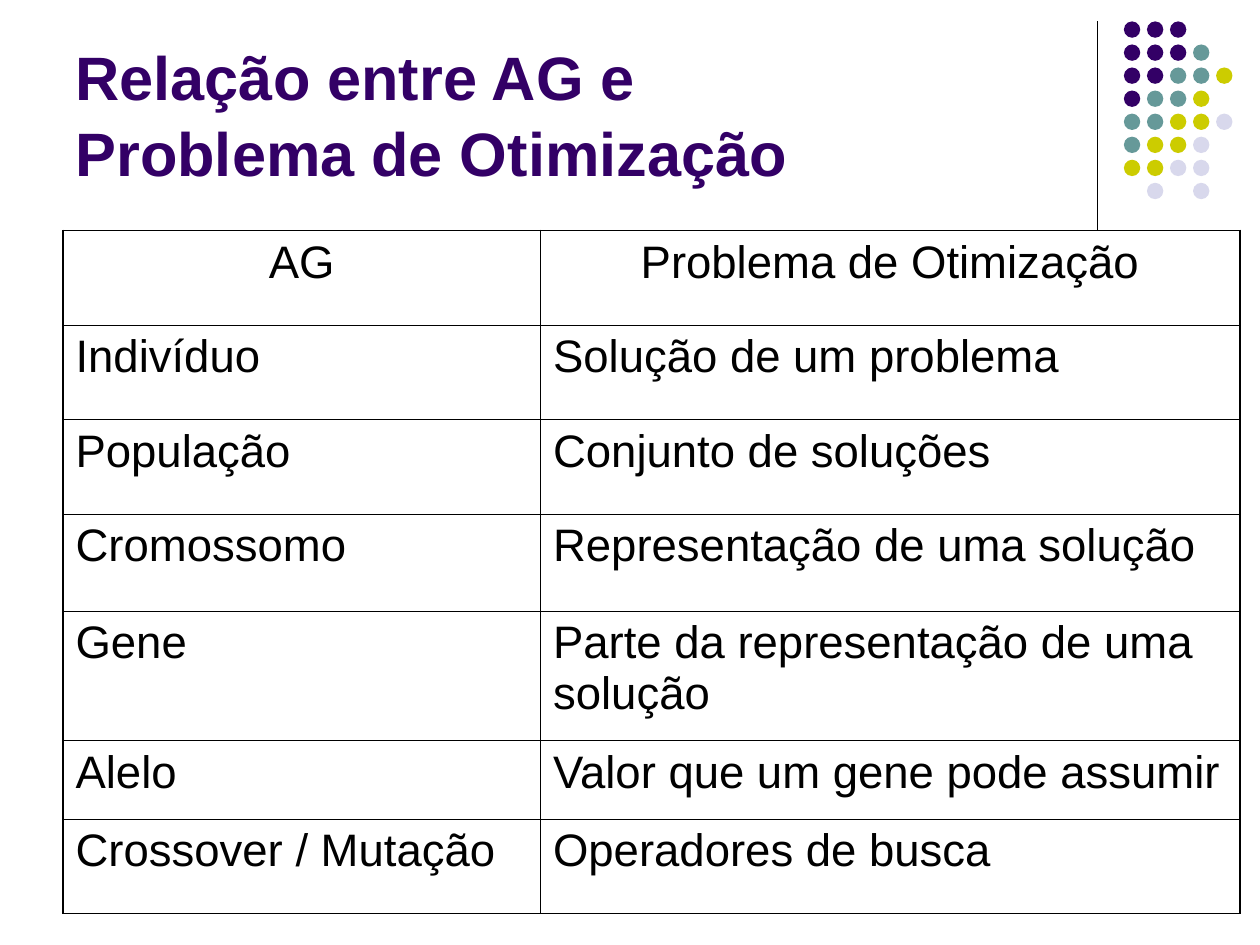
import pptx
import pptx.util
import pptx.dml.color
import pptx.enum.shapes
import pptx.enum.text
import pptx.oxml
import pptx.oxml.ns
from pptx.util import Inches, Pt

# Content
TITLE_LINES = ["Relação entre AG e", "Problema de Otimização"]
ROWS = [
    ("AG", "Problema de Otimização"),
    ("Indivíduo", "Solução de um problema"),
    ("População", "Conjunto de soluções"),
    ("Cromossomo", "Representação de uma solução"),
    ("Gene", "Parte da representação de uma solução"),
    ("Alelo", "Valor que um gene pode assumir"),
    ("Crossover / Mutação", "Operadores de busca"),
]
COLUMN_WIDTHS = [3.79, 5.55]
ROW_HEIGHTS = [0.75, 0.75, 0.75, 0.77, 1.03, 0.62, 0.75]

# Dot ornament: one letter per dot, a space leaves the grid position empty
DOT_ROWS = ["PPP", "PPPT", "PPTTY", "PTTY", "TTYYL", "TYYL", "YYLL", " L L"]
DOT_COLORS = {"P": "330066", "T": "669999", "Y": "CCCC00", "L": "D8D8EC"}
DOT_LEFT, DOT_TOP, DOT_PITCH, DOT_SIZE = 8.92, 0.17, 0.183, 0.13

FONT, BLACK, PURPLE = "Arial", "000000", "330066"
TABLE_LEFT, TABLE_TOP = 0.5, 1.83
OUTER_BORDER, INNER_BORDER = 1.08, 0.45


def color(value):
    return pptx.dml.color.RGBColor.from_string(value)


def add_text(paragraph, text, size, hex_color, bold=False):
    run = paragraph.add_run()
    run.text = text
    run.font.name = FONT
    run.font.size = Pt(size)
    run.font.bold = bold
    run.font.color.rgb = color(hex_color)


def set_borders(cell, widths):
    properties = cell._tc.get_or_add_tcPr()
    for index, (side, width) in enumerate(widths.items()):
        border = pptx.oxml.parse_xml(
            f'<a:ln{side} {pptx.oxml.ns.nsdecls("a")} w="{Pt(width)}">'
            f'<a:solidFill><a:srgbClr val="{BLACK}"/></a:solidFill></a:ln{side}>')
        properties.insert(index, border)


def add_title(slide):
    title = slide.shapes.title
    title.left, title.top = Inches(0.5), Inches(0.13)
    title.width, title.height = Inches(8.25), Inches(1.42)
    frame = title.text_frame
    frame.word_wrap = True
    frame.auto_size = pptx.enum.text.MSO_AUTO_SIZE.NONE
    frame.vertical_anchor = pptx.enum.text.MSO_ANCHOR.BOTTOM
    paragraph = frame.paragraphs[0]
    paragraph.alignment = pptx.enum.text.PP_ALIGN.LEFT
    paragraph.line_spacing = 1.04
    for index, line in enumerate(TITLE_LINES):
        if index:
            paragraph.add_line_break()
        add_text(paragraph, line, 35, PURPLE, bold=True)


def add_ornament(slide):
    # Vertical rule beside the dots
    rule = slide.shapes.add_connector(
        pptx.enum.shapes.MSO_CONNECTOR.STRAIGHT,
        Inches(8.71), Inches(DOT_TOP), Inches(8.71), Inches(TABLE_TOP))
    rule.line.color.rgb = color(BLACK)
    rule.line.width = Pt(0.75)
    rule._element.spPr.append(pptx.oxml.parse_xml(
        f'<a:effectLst {pptx.oxml.ns.nsdecls("a")}/>'))

    # Dot grid
    dots = slide.shapes.add_group_shape()
    for row, letters in enumerate(DOT_ROWS):
        for column, letter in enumerate(letters):
            if letter == " ":
                continue
            dot = dots.shapes.add_shape(
                pptx.enum.shapes.MSO_SHAPE.OVAL,
                Inches(DOT_LEFT + column * DOT_PITCH),
                Inches(DOT_TOP + row * DOT_PITCH),
                Inches(DOT_SIZE), Inches(DOT_SIZE))
            dot.shadow.inherit = False
            dot.fill.solid()
            dot.fill.fore_color.rgb = color(DOT_COLORS[letter])
            dot.line.fill.background()


def add_comparison(slide):
    last_row, last_column = len(ROWS) - 1, len(COLUMN_WIDTHS) - 1
    table = slide.shapes.add_table(
        len(ROWS), len(COLUMN_WIDTHS), Inches(TABLE_LEFT), Inches(TABLE_TOP),
        Inches(sum(COLUMN_WIDTHS)), Inches(sum(ROW_HEIGHTS))).table
    table.first_row = table.horz_banding = False
    for column, width in zip(table.columns, COLUMN_WIDTHS):
        column.width = Inches(width)
    for row, height in zip(table.rows, ROW_HEIGHTS):
        row.height = Inches(height)

    for r, texts in enumerate(ROWS):
        for c, text in enumerate(texts):
            cell = table.cell(r, c)
            cell.fill.background()
            paragraph = cell.text_frame.paragraphs[0]
            paragraph.alignment = (pptx.enum.text.PP_ALIGN.LEFT if r
                                   else pptx.enum.text.PP_ALIGN.CENTER)
            add_text(paragraph, text, 26, BLACK)
            on_edge = {"L": c == 0, "R": c == last_column,
                       "T": r == 0, "B": r == last_row}
            set_borders(cell, {side: OUTER_BORDER if edge else INNER_BORDER
                               for side, edge in on_edge.items()})


def main():
    deck = pptx.Presentation()
    deck.slide_width, deck.slide_height = Inches(10), Inches(7.5)
    slide = deck.slides.add_slide(deck.slide_layouts[5])
    add_ornament(slide)
    add_title(slide)
    add_comparison(slide)
    deck.save("out.pptx")


if __name__ == "__main__":
    main()
